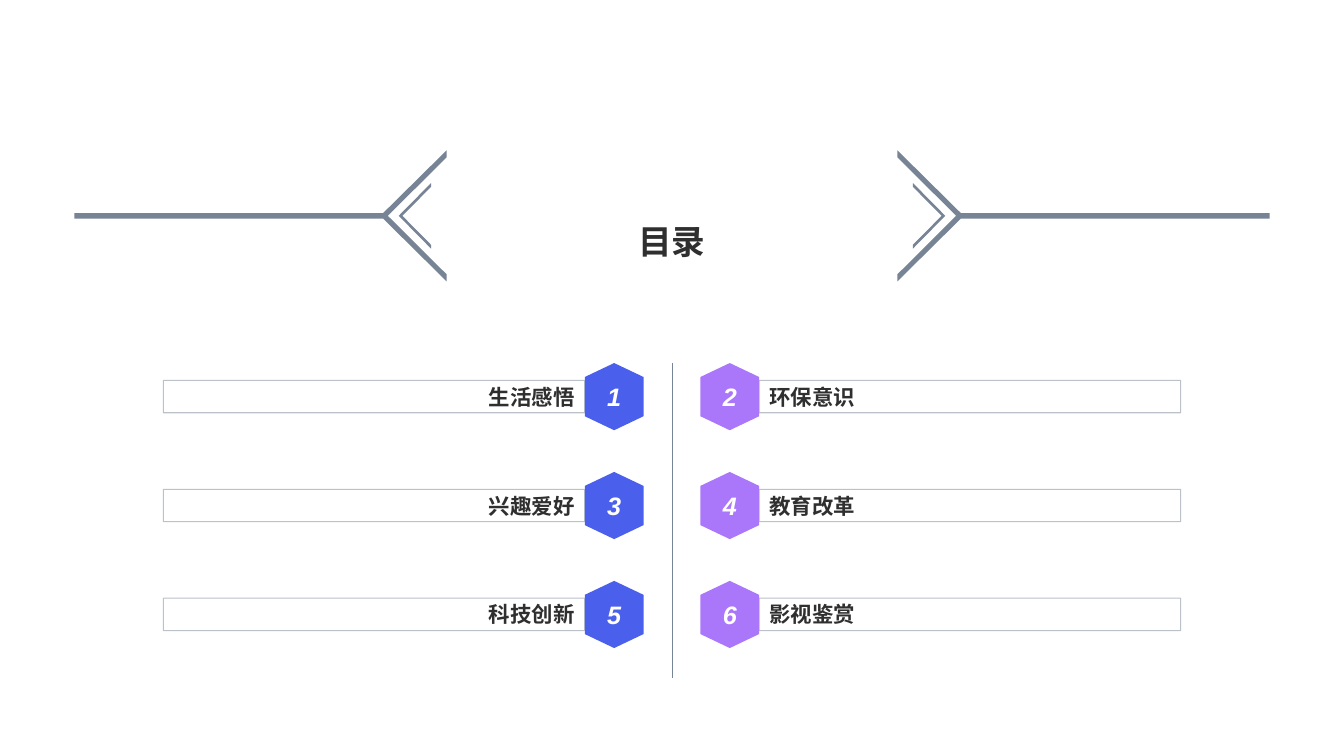
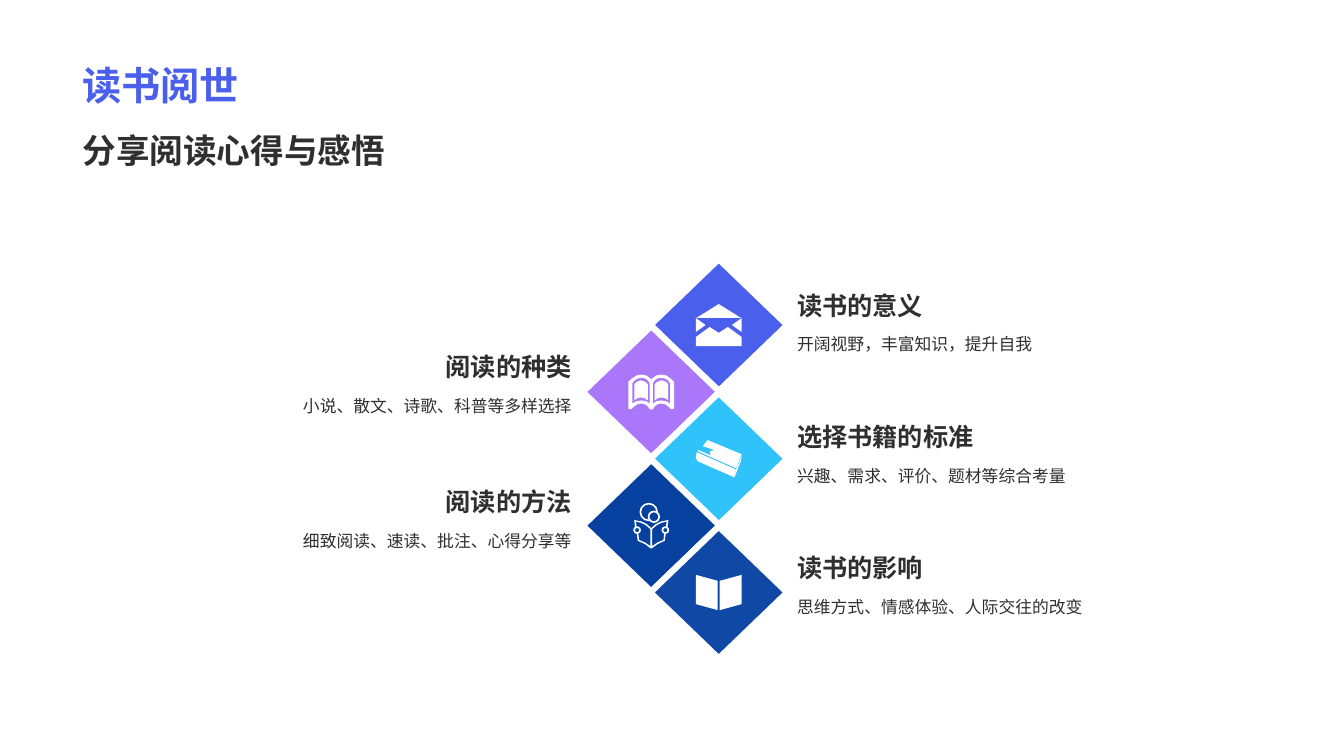
from lxml.etree import SubElement
from pptx import Presentation
from pptx.dml.color import RGBColor
from pptx.enum.lang import MSO_LANGUAGE_ID
from pptx.enum.shapes import MSO_CONNECTOR, MSO_SHAPE
from pptx.enum.text import MSO_ANCHOR, PP_ALIGN
from pptx.oxml.ns import qn
from pptx.util import Pt

FONT = "Arial"
COLORS = {
    "white": "FFFFFF",
    "ink": "2F2F2F",
    "slate": "778495",
    "blue": "4A60EC",
    "purple": "AA77FA",
    "sky": "30C2FA",
    "navy": "07419F",
    "royal": "1048A5",
}
CENTER = 480
LEFT, RIGHT = -1, 1

AGENDA = ["生活感悟", "环保意识", "兴趣爱好", "教育改革", "科技创新", "影视鉴赏"]
AGENDA_TOP, AGENDA_STEP = 283.3, 77.8
BAR_WIDTH, BAR_HEIGHT = 301, 23.2
HEXAGON = [(0, -24), (21, -14), (21, 14), (0, 24), (-21, 14), (-21, -14)]
CHEVRON = [(172, -23.5), (172, -20.8), (192.6, 0), (172, 20.8), (172, 23.5), (195.2, 0)]
ARROW = [
    (161, -46.8), (161, -41.8), (203, 0), (161, 41.8), (161, 46.8),
    (206.3, 2), (426.8, 2), (426.8, -2), (206.3, -2),
]

DIAMOND_WIDTH, DIAMOND_HEIGHT = 97.9, 94.3
DIAMOND_TOP, DIAMOND_STEP = 232.2, 47.75
COLUMNS = {
    RIGHT: {"diamond": 513.4, "left": 562.3, "width": 344.9, "top": 198.7, "step": 93.6},
    LEFT: {"diamond": 465.2, "left": 52.6, "width": 362.9, "top": 242.6, "step": 96.5},
}
TOPICS = [
    ("读书的意义", "开阔视野，丰富知识，提升自我", "blue", "envelope"),
    ("阅读的种类", "小说、散文、诗歌、科普等多样选择", "purple", "open_book"),
    ("选择书籍的标准", "兴趣、需求、评价、题材等综合考量", "sky", "closed_book"),
    ("阅读的方法", "细致阅读、速读、批注、心得分享等", "navy", "reader"),
    ("读书的影响", "思维方式、情感体验、人际交往的改变", "royal", "brochure"),
]


def mirror(points):
    return [(-x, y) for x, y in points]


def pair(points):
    return [points, mirror(points)]


def symmetric(half):
    return half + mirror(half)[::-1]


ICONS = {
    "envelope": [
        symmetric([(0, 5.6), (6.5, 1.4), (16.4, 8.6), (16.4, 15.1)]),
        *pair([(16.4, -5), (16.4, 5), (9.4, 0)]),
        [(0, -15), (16, -5), (-16, -5)],
    ],
    "open_book": [
        symmetric([
            (0, -9), (1.2, -10), (3.6, -11.7), (6.8, -12.4), (10.5, -11.8), (13.5, -9.8),
            (16.4, -7.2), (16.4, 12), (14.2, 12.4), (12.2, 10.4), (9.8, 8.8), (7, 8.3),
            (4.4, 8.9), (2.4, 10.4), (1.2, 12.4), (0, 12.6),
        ]),
        *pair([
            (1.2, -6.2), (2.4, -8.2), (4.4, -9.6), (6.8, -10.1), (9.6, -9.6), (12, -8.2),
            (13.4, -6.2), (13.4, 8.3), (10.5, 6.6), (6.8, 6.1), (3.6, 6.7), (1.2, 8.3),
        ]),
        *pair([
            (2.4, -5.4), (3.9, -7), (7.4, -8.3), (10.8, -7), (12.1, -5.4),
            (12.1, 6.1), (10, 4.5), (7.4, 4), (4.7, 4.5), (2.4, 6.1),
        ]),
    ],
    "closed_book": [
        [(16.4, -1.8), (15.8, 1.8), (11.5, 12.6), (12.3, 7.6)],
        [(-15.8, -4.7), (12, 7.6), (11.2, 13.3), (-15.1, 1.8), (-16.4, -0.5)],
        [
            (-7.9, -13.3), (16.4, -3.2), (12.2, 6.8), (-15.1, -5.4), (-14.4, -6.1),
            (-5.8, -2.5), (-6.5, -5.4), (-2.9, -6.1), (-11.5, -9),
        ],
    ],
    "reader": [
        symmetric([
            (0, 1.8), (3, -1), (7, -3), (12.2, -4), (11.4, 3.2),
            (10.3, 6.1), (9.7, 10.8), (4.5, 13.2), (0.5, 16.2),
        ]),
        *pair([
            (0.6, 2.6), (4, -0.4), (7.4, -2), (11, -2.9), (10.1, 3.2),
            (9.2, 6.1), (8.7, 10.2), (4.5, 12), (0.6, 14.6),
        ]),
    ],
    "brochure": pair([(16.4, -12.6), (16.4, 8.3), (0.7, 12.6), (0.7, -8.3)]),
}
READER_RINGS = [(-1.8, -9.7, 6), (1.9, -6.3, 3.8), (-10.1, 3.2, 2.1), (10.1, 3.2, 2.1)]


def color(name):
    return RGBColor.from_string(COLORS[name])


def style(shape, fill=None, line=None, weight=0.75):
    shape.shadow.inherit = False
    if fill:
        shape.fill.solid()
        shape.fill.fore_color.rgb = color(fill)
    else:
        shape.fill.background()
    if line:
        shape.line.color.rgb = color(line)
        shape.line.width = Pt(weight)
    else:
        shape.line.fill.background()
    return shape


def write(box, text, size=12, tint="ink", bold=False, italic=False,
          align=PP_ALIGN.LEFT, anchor=MSO_ANCHOR.MIDDLE, spacing=None):
    frame = box.text_frame
    frame.word_wrap = True
    frame.vertical_anchor = anchor
    para = frame.paragraphs[0]
    para.alignment = align
    para.line_spacing = spacing
    span = para.add_run()
    span.text = text
    span.font.name = FONT
    span.font.size = Pt(size)
    span.font.bold = bold
    span.font.italic = italic
    span.font.color.rgb = color(tint)
    span.font.language_id = MSO_LANGUAGE_ID.SIMPLIFIED_CHINESE
    SubElement(span.font._element, qn("a:ea"), typeface=FONT)


def add_text(page, left, top, width, height, text, **formatting):
    box = page.shapes.add_textbox(Pt(left), Pt(top), Pt(width), Pt(height))
    write(box, text, **formatting)


def add_preset(page, kind, x, y, width, height, **look):
    shape = page.shapes.add_shape(
        kind, Pt(x - width / 2), Pt(y - height / 2), Pt(width), Pt(height))
    return style(shape, **look)


def add_outline(page, x, y, contours, fill):
    builder = None
    for contour in contours:
        points = [(Pt(x + dx), Pt(y + dy)) for dx, dy in contour]
        if builder is None:
            builder = page.shapes.build_freeform(*points[0], scale=1.0)
        else:
            builder.move_to(*points[0])
        builder.add_line_segments(points[1:], close=True)
    return style(builder.convert_to_shape(), fill=fill)


def add_divider(page, x, top, bottom):
    line = page.shapes.add_connector(
        MSO_CONNECTOR.STRAIGHT, Pt(x), Pt(top), Pt(x), Pt(bottom))
    line.line.color.rgb = color("slate")
    line.line.width = Pt(0.25)
    SubElement(line._element.spPr, qn("a:effectLst"))


def add_agenda_item(page, index, label):
    side = RIGHT if index % 2 else LEFT
    y = AGENDA_TOP + index // 2 * AGENDA_STEP
    bar = add_preset(page, MSO_SHAPE.RECTANGLE, CENTER + side * (62.3 + BAR_WIDTH / 2), y,
                     BAR_WIDTH, BAR_HEIGHT, line="slate")
    tint = bar._element.spPr.find(".//" + qn("a:srgbClr"))
    SubElement(tint, qn("a:alpha"), val="50000")
    write(bar, label, size=15.3, bold=True,
          align=PP_ALIGN.LEFT if side == RIGHT else PP_ALIGN.RIGHT)
    badge = add_outline(page, CENTER + side * 41.3, y, [HEXAGON],
                        "purple" if side == RIGHT else "blue")
    write(badge, str(index + 1), size=18, tint="white", bold=True, italic=True,
          align=PP_ALIGN.CENTER)


def add_topic(page, index, heading, detail, fill, icon):
    side = LEFT if index % 2 else RIGHT
    column = COLUMNS[side]
    x, y = column["diamond"], DIAMOND_TOP + index * DIAMOND_STEP
    add_preset(page, MSO_SHAPE.DIAMOND, x, y, DIAMOND_WIDTH, DIAMOND_HEIGHT,
               fill=fill, line="white", weight=4.5)
    add_outline(page, x, y, ICONS[icon], "white")
    if icon == "reader":
        for dx, dy, radius in READER_RINGS:
            add_preset(page, MSO_SHAPE.OVAL, x + dx, y + dy, 2 * radius, 2 * radius,
                       fill=fill, line="white", weight=1.2)
    left, width = column["left"], column["width"]
    top = column["top"] + index // 2 * column["step"]
    align = PP_ALIGN.LEFT if side == RIGHT else PP_ALIGN.RIGHT
    add_text(page, left, top, width, 33.6, heading, size=18, bold=True,
             align=align, anchor=MSO_ANCHOR.BOTTOM)
    add_text(page, left, top + 33.6, width, 37.4, detail,
             align=align, anchor=MSO_ANCHOR.TOP, spacing=1.2)


def build_agenda(page):
    add_divider(page, CENTER, 259.2, 484)
    for index, label in enumerate(AGENDA):
        add_agenda_item(page, index, label)
    for flip in (mirror, list):
        add_outline(page, CENTER, 154.2, [flip(CHEVRON), flip(ARROW)], "slate")
    add_text(page, 318.7, 118.8, 322.6, 71.3, "目录", size=24, bold=True,
             align=PP_ALIGN.CENTER, anchor=MSO_ANCHOR.BOTTOM)


def build_reading(page):
    add_text(page, 51.8, 10.1, 855.4, 70.6, "读书阅世", size=28, tint="blue",
             bold=True, anchor=MSO_ANCHOR.BOTTOM)
    add_text(page, 51.8, 89.3, 396.7, 82.8, "分享阅读心得与感悟", size=24,
             bold=True, anchor=MSO_ANCHOR.TOP)
    for index, topic in enumerate(TOPICS):
        add_topic(page, index, *topic)


def main():
    deck = Presentation()
    deck.slide_width, deck.slide_height = Pt(960), Pt(540)
    for build in (build_agenda, build_reading):
        build(deck.slides.add_slide(deck.slide_layouts[6]))
    deck.save("out.pptx")


if __name__ == "__main__":
    main()
